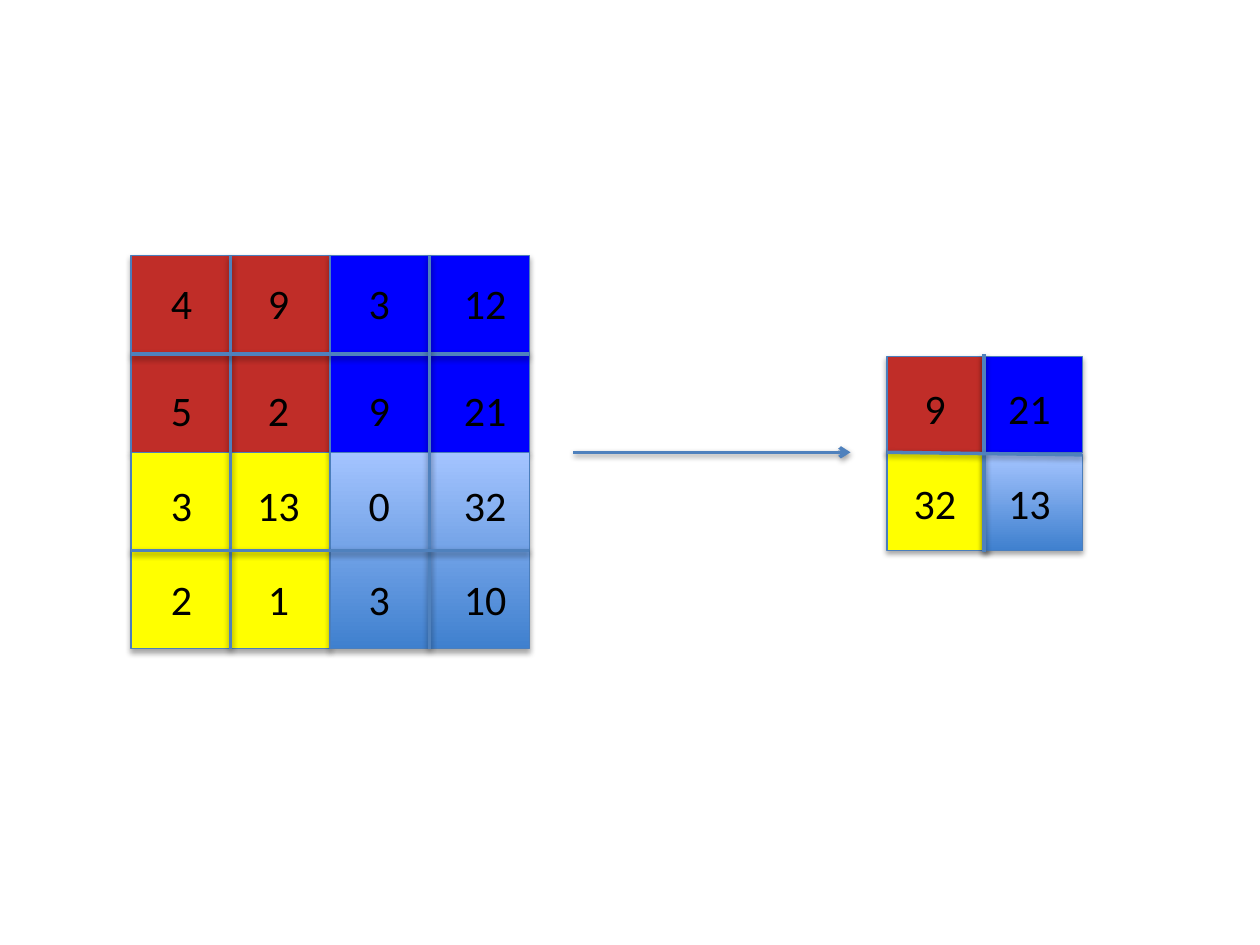
import pptx
import pptx.util
import pptx.dml.color
import pptx.enum.shapes
import pptx.enum.text
import pptx.oxml
import pptx.oxml.ns

Inches = pptx.util.Inches
Pt = pptx.util.Pt
RGBColor = pptx.dml.color.RGBColor

RED = RGBColor(0xC0, 0x2D, 0x28)
YELLOW = RGBColor(0xFF, 0xFF, 0x00)
BLUE = RGBColor(0x00, 0x00, 0xFF)
SKY = RGBColor(0xA4, 0xC4, 0xFF)
DEEP = RGBColor(0x3F, 0x80, 0xCE)
EDGE = RGBColor(0x4B, 0x7E, 0xBC)
RULE = RGBColor(0x4F, 0x81, 0xBD)
BLACK = RGBColor(0x00, 0x00, 0x00)
FADE = (DEEP, SKY)
NS = pptx.oxml.ns.nsdecls("a")


def add_shadow(props, drop, alpha):
    """Give shape properties a soft shadow straight below."""
    props.append(pptx.oxml.parse_xml(
        f'<a:effectLst {NS}><a:outerShdw blurRad="{Pt(3.15)}" '
        f'dist="{Pt(drop)}" dir="5400000" rotWithShape="0">'
        f'<a:srgbClr val="000000"><a:alpha val="{alpha * 1000}"/></a:srgbClr>'
        '</a:outerShdw></a:effectLst>'))


def add_block(slide, left, top, width, height, paint):
    """Draw a block; a pair of colours makes a fade from the bottom up."""
    block = slide.shapes.add_shape(
        pptx.enum.shapes.MSO_SHAPE.RECTANGLE,
        Inches(left), Inches(top), Inches(width), Inches(height))
    block.shadow.inherit = False
    block.line.color.rgb = EDGE
    block.line.width = Pt(0.75)
    if paint is FADE:
        block.fill.gradient()
        block.fill.gradient_angle = 90
        for stop, color, place in zip(block.fill.gradient_stops, paint, (0, 1)):
            stop.color.rgb = color
            stop.position = place
    else:
        block.fill.solid()
        block.fill.fore_color.rgb = paint
    props = block._element.spPr
    props.remove(props.find(pptx.oxml.ns.qn("a:effectLst")))
    add_shadow(props, 1.8, 35)


def add_line(slide, start, end, arrow=False):
    """Draw a straight line, with an arrowhead at its end if asked."""
    line = slide.shapes.add_connector(
        pptx.enum.shapes.MSO_CONNECTOR.STRAIGHT,
        *(Inches(value) for value in (*start, *end)))
    line.line.color.rgb = RULE
    line.line.width = Pt(2)
    props = line._element.spPr
    if arrow:
        props.find(pptx.oxml.ns.qn("a:ln")).append(
            pptx.oxml.parse_xml(f'<a:tailEnd {NS} type="arrow"/>'))
    add_shadow(props, 1.6, 38)


def add_label(slide, center, top, value):
    """Write a number centred on a column."""
    width = 0.7 if value > 9 else 0.55
    box = slide.shapes.add_textbox(
        Inches(center - width / 2), Inches(top), Inches(width), Inches(0.5))
    frame = box.text_frame
    frame.word_wrap = True
    frame.text = str(value)
    para = frame.paragraphs[0]
    para.alignment = pptx.enum.text.PP_ALIGN.CENTER
    font = para.runs[0].font
    font.name = "Calibri"
    font.size = Pt(24)
    font.color.rgb = BLACK


def add_values(slide, centers, tops, rows):
    """Write rows of numbers on a grid."""
    for top, row in zip(tops, rows):
        for center, value in zip(centers, row):
            add_label(slide, center, top, value)


def add_input(slide):
    """Draw the four by four grid."""
    left, top, width, height = 1.04, 2.03, 1.58, 1.56
    for col, paints in enumerate(((RED, YELLOW), (BLUE, FADE))):
        for row, paint in enumerate(paints):
            add_block(slide, left + col * width, top + row * height,
                      width, height, paint)
    right, bottom = left + 2 * width, top + 2 * height
    for step in (0.5, 1.5):
        x, y = left + step * width, top + step * height
        add_line(slide, (x, top), (x, bottom))
        add_line(slide, (left, y), (right, y))
    add_values(slide, (1.44, 2.21, 3.01, 3.85), (2.15, 3, 3.76, 4.5),
               ((4, 9, 3, 12), (5, 2, 9, 21), (3, 13, 0, 32), (2, 1, 3, 10)))


def add_output(slide):
    """Draw the two by two grid."""
    for block in ((7.04, 2.83, 0.78, 0.76, RED), (7.81, 2.83, 0.78, 0.76, BLUE),
                  (7.04, 3.59, 0.81, 0.78, YELLOW),
                  (7.81, 3.61, 0.78, 0.76, FADE)):
        add_block(slide, *block)
    add_values(slide, (7.42, 8.17), (2.99, 3.74), ((9, 21), (32, 13)))
    add_line(slide, (7.81, 2.81), (7.81, 4.38))
    add_line(slide, (7.04, 3.59), (8.59, 3.61))


def main():
    """Build the slide and save it."""
    deck = pptx.Presentation()
    deck.slide_width = Inches(10)
    deck.slide_height = Inches(7.5)
    slide = deck.slides.add_slide(deck.slide_layouts[6])
    add_input(slide)
    add_line(slide, (4.55, 3.59), (6.75, 3.59), arrow=True)
    add_output(slide)
    deck.save("out.pptx")


main()
